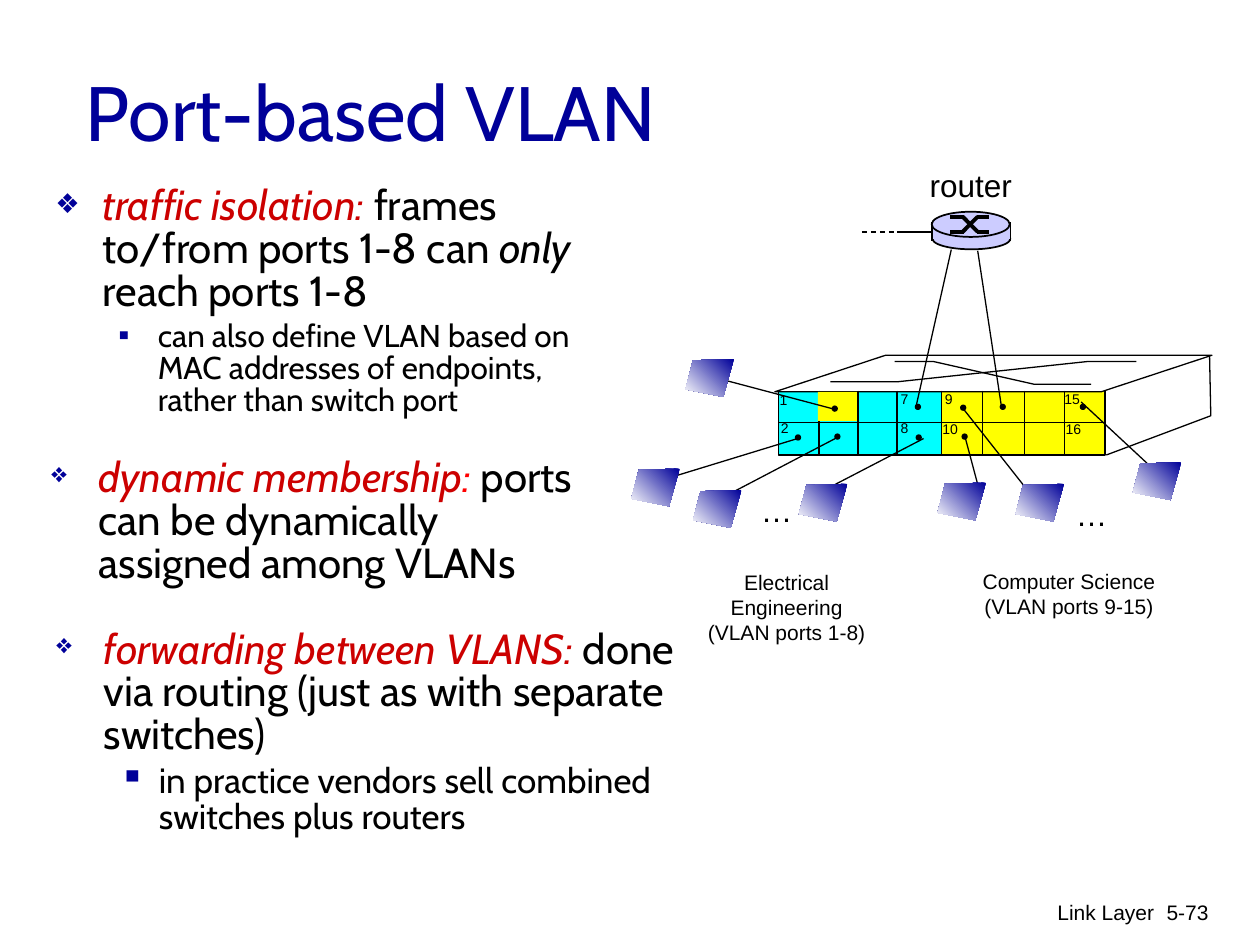
from typing import NamedTuple

from lxml import etree
from pptx import Presentation
from pptx.dml.color import RGBColor
from pptx.enum.dml import MSO_LINE
from pptx.enum.shapes import MSO_CONNECTOR, MSO_SHAPE
from pptx.enum.text import MSO_ANCHOR, MSO_AUTO_SIZE, PP_ALIGN
from pptx.oxml.ns import qn
from pptx.util import Pt

STRAIGHT = MSO_CONNECTOR.STRAIGHT
RECTANGLE, OVAL = MSO_SHAPE.RECTANGLE, MSO_SHAPE.OVAL
PARALLELOGRAM = MSO_SHAPE.PARALLELOGRAM
DASH, MIDDLE, NO_AUTOFIT = MSO_LINE.DASH, MSO_ANCHOR.MIDDLE, MSO_AUTO_SIZE.NONE
LEFT, CENTER, RIGHT = PP_ALIGN.LEFT, PP_ALIGN.CENTER, PP_ALIGN.RIGHT

COLORS = {
    "black": "000000", "white": "FFFFFF", "navy": "000099", "crimson": "CC0000",
    "red": "FF0000", "cyan": "00FFFF", "yellow": "FFFF00", "lavender": "CCCCFF",
}


class Box(NamedTuple):
    left: float
    top: float
    width: float
    height: float


class Label(NamedTuple):
    text: str
    box: Box
    size: float = 8
    align: PP_ALIGN = LEFT
    wrap: bool = False


class Span(NamedTuple):
    text: str
    color: str = "black"
    italic: bool = False


class Bullet(NamedTuple):
    spans: list[Span]
    size: float = 24
    level: int = 0


class Line(NamedTuple):
    x1: float
    y1: float
    x2: float
    y2: float
    width: float = 0.75
    dash: bool = False


class BulletStyle(NamedTuple):
    character: str
    margin: float
    indent: float
    percent: int


BULLET_STYLES = [BulletStyle("❖", 27, -27, 65), BulletStyle("▪", 58.5, -22.5, 100)]

BODY_BULLETS = [
    Bullet([Span("traffic isolation: ", "crimson", True), Span("frames to/from ports 1-8 can "),
            Span("only", italic=True), Span(" reach ports 1-8")]),
    Bullet([Span("can also define VLAN based on MAC addresses of endpoints, "
                 "rather than switch port")], 18, 1),
]
MEMBERSHIP_BULLETS = [
    Bullet([Span("dynamic membership", "crimson", True), Span(":", "red", True),
            Span(" ports can be dynamically assigned among VLANs")]),
]
FORWARDING_BULLETS = [
    Bullet([Span("forwarding between VLANS: ", "crimson", True),
            Span("done via routing (just as with separate switches)")]),
    Bullet([Span("in practice vendors sell combined switches plus routers")], 20, 1),
]

FRAME = Box(445, 223.2, 186.4, 36.8)
FRAME_CENTER = FRAME.left + FRAME.width / 2
FRAME_BOTTOM = FRAME.top + FRAME.height
PORT_EDGES = [445, 468, 490.3, 512.6, FRAME_CENTER, 561.6, 585.4, 608.4]
CHASSIS_OUTLINES = [
    [(632.2, 260), (691.9, 237.6), (691.2, 203)],
    [(474.5, 218.2), (512.6, 218.2), (621.4, 206.6), (649.4, 206.6)],
    [(511.2, 206.6), (533.5, 206.6), (591.1, 219.6), (623.5, 219.6)],
]
HOST_OUTLINE = [(27.7, 0), (4.3, 0.7), (0, 17.3), (21.6, 21.6)]
HOSTS = [(360.7, 267.8), (396, 280), (456.5, 276.5), (535.7, 275.8),
         (580.3, 276.5), (647.3, 264.2), (391.7, 205.2)]
HOST_LINKS = [
    Line(455.8, 250.6, 385.2, 272.2), Line(478.8, 249.8, 415.4, 283),
    Line(527.8, 250.6, 472.3, 279.4), Line(551.5, 249.8, 559.4, 279.4),
    Line(550.8, 234, 588.2, 281.5), Line(617.8, 229.7, 658.8, 267.8),
    Line(477.4, 234, 414.7, 217.4),
]
ROUTER_LINKS = [
    Line(523.4, 232.6, 543.6, 142.6), Line(572.4, 233.3, 558.7, 143.3),
    Line(492.5, 132.5, 512, 132.5, dash=True),
]
PORT_DOTS = [(456, 250), (478.5, 249.5), (525, 250), (551.2, 249.5), (550.4, 233),
             (618.8, 232.5), (524.5, 232.5), (573, 232.5), (477, 233.5)]
ROUTER_SYMBOL = [
    Line(542.9, 123.8, 550.8, 123.8, 2.25), Line(558, 132.5, 565.2, 132.5, 2.25),
    Line(550.1, 123.8, 558.7, 132.5, 2.25), Line(542.9, 132.5, 550.8, 132.5, 2.25),
    Line(558, 123.8, 565.2, 123.8, 2.25), Line(550.1, 132.5, 558.7, 123.8, 2.25),
]

LABELS = [
    Label("Link Layer", Box(438.5, 510.5, 228.2, 36), 12, RIGHT, True),
    Label("5-73", Box(644.4, 510.5, 53.3, 36), 12, RIGHT, True),
    Label("router", Box(524.2, 91.4, 61.9, 28.8), 18),
    Label("…", Box(427.7, 277.2, 32.4, 28.8), 18),
    Label("…", Box(607.7, 279.4, 32.4, 28.8), 18),
    Label("Electrical Engineering\n(VLAN ports 1-8)", Box(389.5, 321.8, 120, 54), 12, CENTER, True),
    Label("Computer Science\n(VLAN ports 9-15)", Box(554.4, 321.1, 113, 36), 12, CENTER),
] + [
    Label(text, Box(left, top, 18.7 if len(text) == 1 else 23.8, 16.6))
    for text, left, top in [
        ("1", 438.5, 220), ("7", 507.6, 219.6), ("9", 532.8, 219.6), ("15", 601.2, 219.6),
        ("2", 439.2, 236.2), ("8", 507.6, 236.2), ("10", 531.4, 236.9), ("16", 601.9, 236.9)]
]


def rgb(name: str) -> RGBColor:
    return RGBColor.from_string(COLORS[name])


def points(values) -> list:
    return [Pt(value) for value in values]


def place(shape, box: Box) -> None:
    shape.left, shape.top, shape.width, shape.height = points(box)


def style_run(run, size: float, font: str, color: str = "black", italic: bool = False) -> None:
    run.font.size, run.font.name, run.font.italic = Pt(size), font, italic
    run.font.color.rgb = rgb(color)


def draw_label(slide, label: Label) -> None:
    text_frame = slide.shapes.add_textbox(*points(label.box)).text_frame
    text_frame.word_wrap = label.wrap
    text_frame.text = label.text
    for paragraph in text_frame.paragraphs:
        paragraph.alignment = label.align
        style_run(paragraph.runs[0], label.size, "Arial")


def fill_bullets(text_frame, bullets: list[Bullet]) -> None:
    text_frame.word_wrap, text_frame.auto_size = True, NO_AUTOFIT
    for index, bullet in enumerate(bullets):
        paragraph = text_frame.add_paragraph() if index else text_frame.paragraphs[0]
        style = BULLET_STYLES[bullet.level]
        paragraph.level, paragraph.line_spacing = bullet.level, 0.85
        paragraph.space_before = Pt(bullet.size * 0.2 if index else 0)
        properties = paragraph._p.get_or_add_pPr()
        properties.set("marL", str(Pt(style.margin)))
        properties.set("indent", str(Pt(style.indent)))
        color = etree.SubElement(properties, qn("a:buClr"))
        etree.SubElement(color, qn("a:srgbClr"), val=COLORS["navy"])
        etree.SubElement(properties, qn("a:buSzPct"), val=str(style.percent * 1000))
        etree.SubElement(properties, qn("a:buChar"), char=style.character)
        for span in bullet.spans:
            run = paragraph.add_run()
            run.text = span.text
            style_run(run, bullet.size, "Cabin", span.color, span.italic)


def paint(shape, fill: str | None, line_width: float = 0):
    shape.shadow.inherit = False
    if fill:
        shape.fill.solid()
        shape.fill.fore_color.rgb = rgb(fill)
    else:
        shape.fill.background()
    if line_width:
        shape.line.color.rgb, shape.line.width = rgb("black"), Pt(line_width)
    else:
        shape.line.fill.background()
    return shape


def draw_shape(slide, kind, box: Box, fill: str | None, line_width: float = 0):
    return paint(slide.shapes.add_shape(kind, *points(box)), fill, line_width)


def draw_line(slide, line: Line):
    connector = slide.shapes.add_connector(STRAIGHT, *points(line[:4]))
    connector.line.color.rgb, connector.line.width = rgb("black"), Pt(line.width)
    if line.dash:
        connector.line.dash_style = DASH
    etree.SubElement(connector._element.spPr, qn("a:effectLst"))
    return connector


def draw_outline(slide, corners: list, close: bool):
    vertices = [tuple(points(corner)) for corner in corners]
    builder = slide.shapes.build_freeform(*vertices[0])
    builder.add_line_segments(vertices[1:], close=close)
    return builder.convert_to_shape()


def draw_host(slide, left: float, top: float) -> None:
    host = draw_outline(slide, [(left + x, top + y) for x, y in HOST_OUTLINE], True)
    paint(host, None)
    host.fill.gradient()
    host.fill.gradient_angle = 225
    for stop, color in zip(host.fill.gradient_stops, ("navy", "white")):
        stop.color.rgb = rgb(color)


def draw_switch(slide) -> None:
    half = FRAME.width / 2
    draw_shape(slide, RECTANGLE, FRAME._replace(width=half), "cyan")
    draw_shape(slide, RECTANGLE, FRAME._replace(left=FRAME_CENTER, width=half), "yellow")
    frame = draw_shape(slide, RECTANGLE, FRAME, None, 0.75)
    middle = FRAME.top + FRAME.height / 2
    divider = draw_line(slide, Line(FRAME.left, middle, FRAME.left + FRAME.width, middle))
    divider.begin_connect(frame, 1)
    divider.end_connect(frame, 3)
    top = draw_shape(slide, PARALLELOGRAM, Box(442.8, 203, 249.8, 20.9), "white", 0.75)
    top.adjustments[0] = 3.03
    for corners in CHASSIS_OUTLINES:
        paint(draw_outline(slide, corners, False), None, 0.75)
    for edge in PORT_EDGES:
        separator = draw_line(slide, Line(edge, FRAME.top, edge, FRAME_BOTTOM))
        if edge == FRAME_CENTER:
            separator.begin_connect(frame, 0)
            separator.end_connect(frame, 2)
    draw_shape(slide, RECTANGLE, Box(467.3, 223.9, 22.3, 16.6), "yellow")


def draw_router(slide) -> None:
    draw_shape(slide, OVAL, Box(532.8, 130.3, 44.6, 12.2), "lavender", 1)
    body = draw_shape(slide, RECTANGLE, Box(532.8, 128.5, 44.3, 8), "lavender")
    for x in (532.8, 577.4):
        draw_line(slide, Line(x, 127, x, 137.5, 1))
    draw_shape(slide, OVAL, Box(532.4, 121, 44.6, 14.4), "lavender", 1)
    for line in ROUTER_SYMBOL + ROUTER_LINKS:
        draw_line(slide, line)
    draw_line(slide, Line(512.6, 132.5, 532.8, 132.5)).end_connect(body, 1)


def main() -> None:
    presentation = Presentation()
    presentation.slide_width, presentation.slide_height = Pt(720), Pt(540)
    slide = presentation.slides.add_slide(presentation.slide_layouts[1])
    title, body = slide.placeholders
    place(title, Box(41.8, 18, 612, 90))
    title.text_frame.text = "Port-based VLAN"
    title.text_frame.vertical_anchor = MIDDLE
    title.text_frame.paragraphs[0].alignment = LEFT
    style_run(title.text_frame.paragraphs[0].runs[0], 44, "Cabin", "navy")
    place(body, Box(24.5, 103, 334.8, 139))
    fill_bullets(body.text_frame, BODY_BULLETS)
    for box, bullets in [(Box(22.3, 258.5, 319.7, 126.7), MEMBERSHIP_BULLETS),
                         (Box(25.2, 356.4, 393.8, 126.7), FORWARDING_BULLETS)]:
        fill_bullets(slide.shapes.add_textbox(*points(box)).text_frame, bullets)
    draw_switch(slide)
    draw_router(slide)
    for line in HOST_LINKS:
        draw_line(slide, line)
    for x, y in PORT_DOTS:
        draw_shape(slide, OVAL, Box(x - 1.8, y - 1.8, 3.6, 3.6), "black")
    for left, top in HOSTS:
        draw_host(slide, left, top)
    for label in LABELS:
        draw_label(slide, label)
    presentation.save("out.pptx")


if __name__ == "__main__":
    main()
